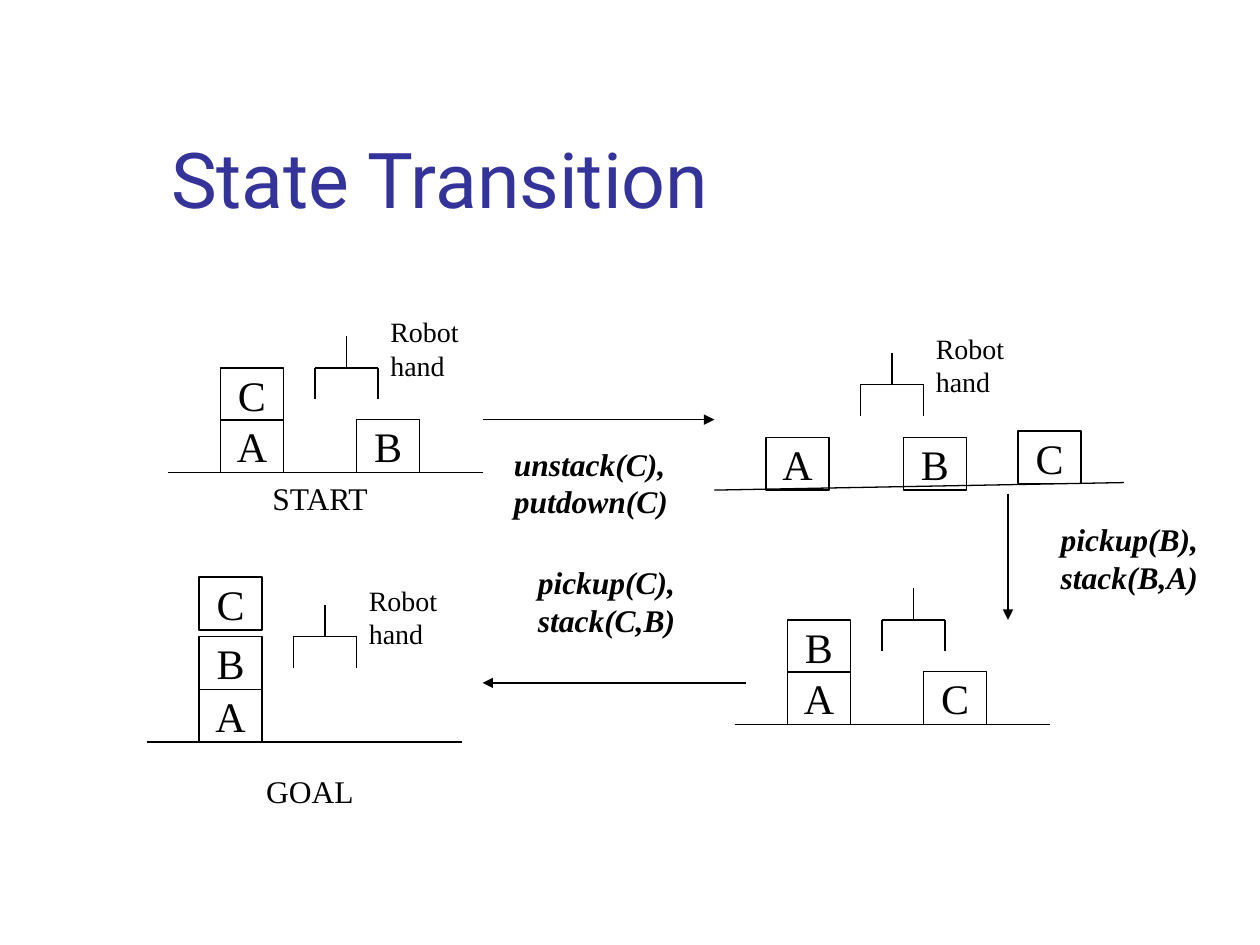
from typing import NamedTuple

from lxml.etree import SubElement as Sub
from pptx import Presentation
from pptx.dml.color import RGBColor as Rgb
from pptx.enum.shapes import MSO_CONNECTOR as Link, MSO_SHAPE as Kind
from pptx.enum.text import MSO_ANCHOR as Anchor, PP_ALIGN as Align
from pptx.oxml.ns import qn
from pptx.util import Inches, Pt

BLACK, BLUE = "000000", "333399"
SERIF, SANS = "Times New Roman", "Roboto"
WIDE, HIGH, ARM = 0.5, 0.42, 0.25


class Block(NamedTuple):
    """A lettered block and its top left corner."""
    name: str
    x: float
    y: float


class Line(NamedTuple):
    """A straight line between two points."""
    x1: float
    y1: float
    x2: float
    y2: float
    arrow: bool = False


class Hand(NamedTuple):
    """A robot hand: left end and height of its bar."""
    x: float
    y: float
    label: bool = True


class State(NamedTuple):
    """A table line with the blocks and the hand above it."""
    floor: Line
    blocks: list[Block]
    hand: Hand


class Note(NamedTuple):
    """A piece of free text."""
    text: str
    x: float
    y: float
    width: float
    height: float
    size: float = 18
    font: str = SERIF
    tint: str = BLACK
    bold: bool = False
    align: Align = Align.LEFT
    anchor: Anchor = Anchor.TOP
    before: float = 0


STATES = [
    State(Line(1.33, 3.75, 3.83, 3.75),
          [Block("A", 1.75, 3.33), Block("C", 1.75, 2.92), Block("B", 2.83, 3.33)],
          Hand(2.5, 2.92)),
    State(Line(5.67, 3.89, 8.92, 3.83),
          [Block("A", 6.08, 3.47), Block("C", 8.08, 3.42), Block("B", 7.17, 3.47)],
          Hand(6.83, 3.05)),
    State(Line(1.17, 5.89, 3.67, 5.89),
          [Block("A", 1.58, 5.47), Block("B", 1.58, 5.05), Block("C", 1.58, 4.58)],
          Hand(2.33, 5.05)),
    State(Line(5.83, 5.75, 8.33, 5.75),
          [Block("A", 6.25, 5.33), Block("B", 6.25, 4.92), Block("C", 7.33, 5.33)],
          Hand(7, 4.92, label=False)),
]
ARROWS = [
    Line(3.83, 3.33, 5.67, 3.33, arrow=True),
    Line(8, 3.92, 8, 4.92, arrow=True),
    Line(5.92, 5.42, 3.83, 5.42, arrow=True),
]
NOTES = [
    Note("State Transition", 1.26, 0.23, 8.52, 1.6, 44, SANS, BLUE, anchor=Anchor.BOTTOM),
    Note("START", 1.83, 3.75, 1.42, 0.4, align=Align.CENTER, before=11.2),
    Note("GOAL", 1.75, 6.08, 1.42, 0.4, align=Align.CENTER, before=11.2),
    Note("unstack(C),\nputdown(C)", 3.98, 3.48, 1.68, 0.7, bold=True),
    Note("pickup(B),\nstack(B,A)", 8.32, 4.08, 1.35, 0.7, bold=True),
    Note("pickup(C),\nstack(C,B)", 4.17, 4.42, 1.35, 0.7, bold=True),
]

deck = Presentation()
deck.slide_width, deck.slide_height = Inches(10), Inches(7.5)
slide = deck.slides.add_slide(deck.slide_layouts[6])
shapes = slide.shapes


def paint(target, tint: str) -> None:
    """Give a fill or a font a solid colour."""
    if hasattr(target, "solid"):
        target.solid()
        target.fore_color.rgb = Rgb.from_string(tint)
    else:
        target.color.rgb = Rgb.from_string(tint)


def stroke(line) -> None:
    """Make an outline thin and black."""
    paint(line.fill, BLACK)
    line.width = Pt(0.74)


def style(frame, size: float, font: str, tint: str, bold: bool,
          align: Align, before: float = 0) -> None:
    """Format all text in a frame."""
    for para in frame.paragraphs:
        para.alignment = align
        para.space_before = Pt(before)
        for run in para.runs:
            run.font.size, run.font.name = Pt(size), font
            run.font.bold = run.font.italic = bold
            paint(run.font, tint)


def add_line(line: Line) -> None:
    """Draw a line, with an arrowhead at its end if asked."""
    ends = [Inches(n) for n in line[:4]]
    item = shapes.add_connector(Link.STRAIGHT, *ends)
    stroke(item.line)
    if line.arrow:
        Sub(item.line._get_or_add_ln(), qn("a:tailEnd"), type="triangle")
    Sub(item._element.spPr, qn("a:effectLst"))


def add_block(block: Block) -> None:
    """Draw a lettered block."""
    item = shapes.add_shape(Kind.RECTANGLE, Inches(block.x), Inches(block.y),
                            Inches(WIDE), Inches(HIGH))
    item.shadow.inherit = False
    item.fill.background()
    stroke(item.line)
    frame = item.text_frame
    frame.text = block.name
    frame.word_wrap = False
    frame.vertical_anchor = Anchor.MIDDLE
    style(frame, 24, SERIF, BLACK, False, Align.CENTER)


def add_note(note: Note) -> None:
    """Write a piece of free text."""
    item = shapes.add_textbox(Inches(note.x), Inches(note.y),
                              Inches(note.width), Inches(note.height))
    frame = item.text_frame
    frame.text = note.text
    frame.word_wrap = True
    frame.vertical_anchor = note.anchor
    style(frame, note.size, note.font, note.tint, note.bold, note.align, note.before)


def add_hand(hand: Hand) -> None:
    """Draw a robot hand and its label."""
    left, mid, right, bar = hand.x, hand.x + WIDE / 2, hand.x + WIDE, hand.y
    add_line(Line(left, bar, right, bar))
    add_line(Line(mid, bar - ARM, mid, bar))
    for x in (left, right):
        add_line(Line(x, bar, x, bar + ARM))
    if hand.label:
        add_note(Note("Robot hand", right, bar - 0.47, 1, 0.64, size=16, before=10))


def add_state(state: State) -> None:
    """Draw one state of the world."""
    add_line(state.floor)
    for block in state.blocks:
        add_block(block)
    add_hand(state.hand)


for state in STATES:
    add_state(state)
for arrow in ARROWS:
    add_line(arrow)
for note in NOTES:
    add_note(note)

deck.save("out.pptx")
